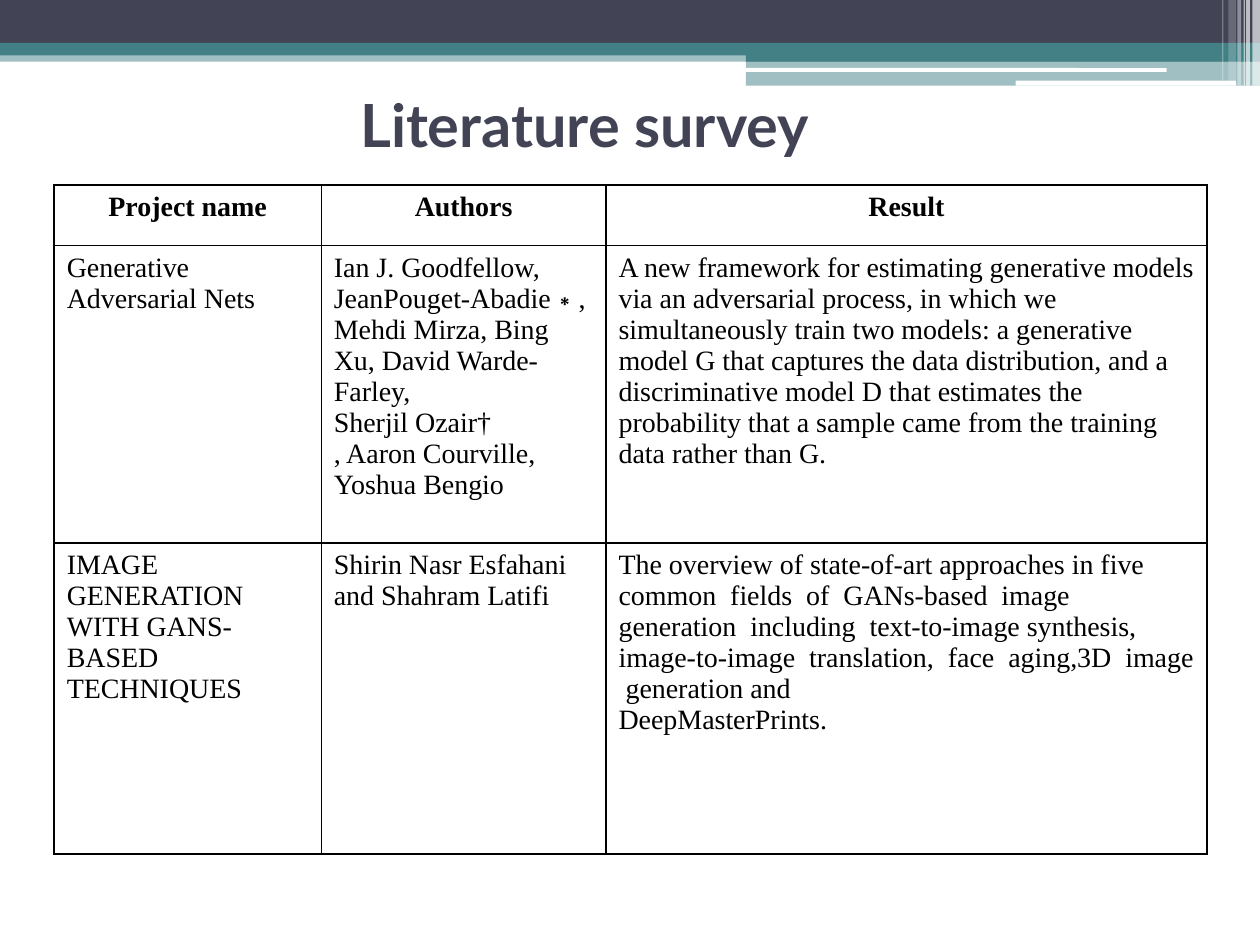
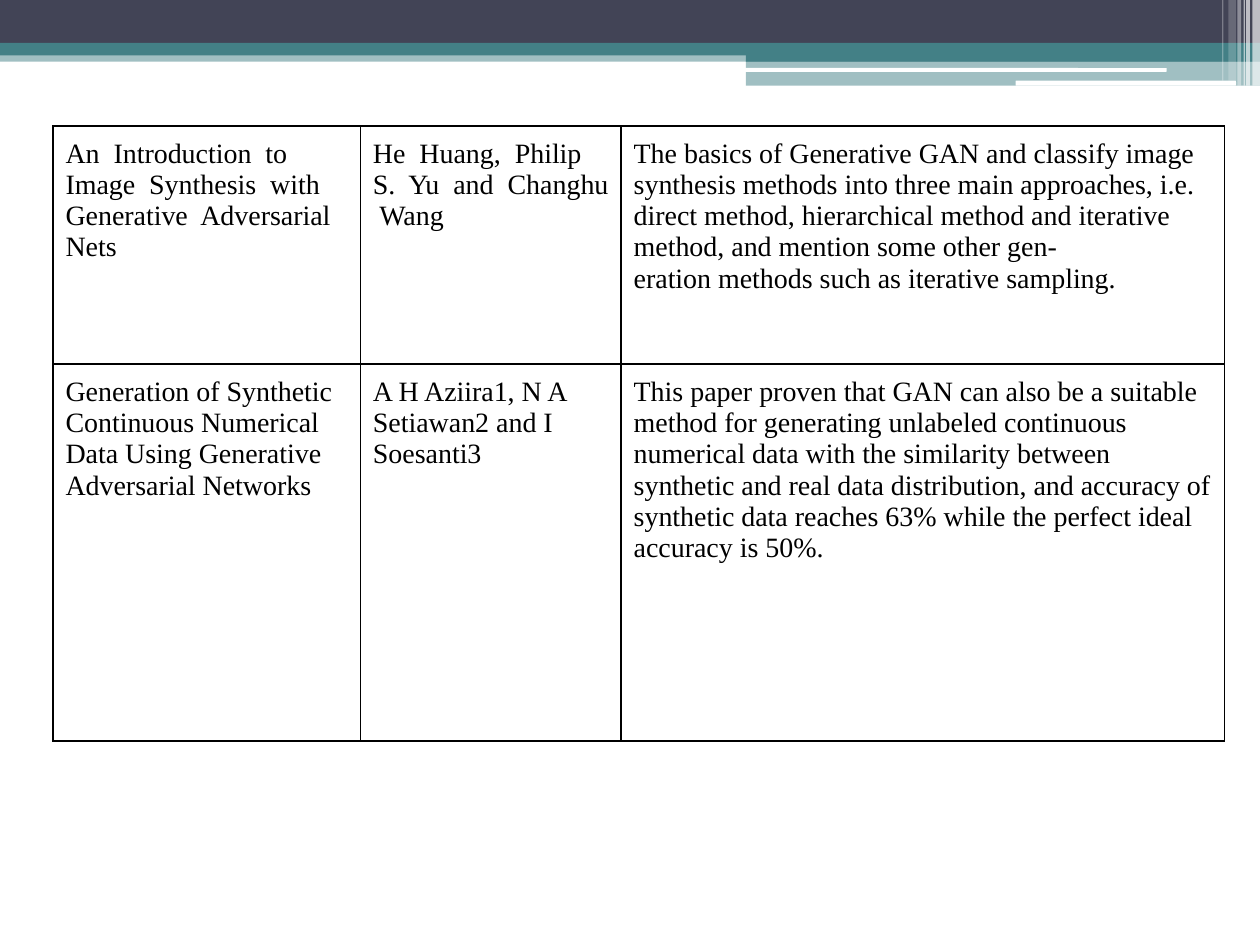
from lxml.etree import SubElement
from pptx import Presentation
from pptx.dml.color import RGBColor
from pptx.enum.shapes import MSO_SHAPE
from pptx.enum.text import MSO_ANCHOR, PP_ALIGN
from pptx.oxml.ns import qn
from pptx.util import Inches, Pt

COLUMNS, ROWS = 100, 75
NAVY, TEAL, WHITE, BLACK = "424456", "438086", "FFFFFF", "000000"

# left, top, width, height, colour, opacity in percent
BANDS = [
    (0, 4, 100, 0.9, TEAL, 50),
    (0, 0, 100, 3.4, NAVY, 100),
    (0, 3.4, 100, 1, TEAL, 100),
    (59.2, 3.9, 40.8, 1, TEAL, 100),
    (59.2, 4.8, 40.8, 2, TEAL, 50),
]
RULES = [(59.1, 5.4, 33.5, 0.3), (80.6, 6.4, 17.5, 0.4)]
# left, width, height, opacity in percent
STRIPES = [
    (99.4, 0.6, 6.8, 65),
    (98.9, 0.3, 6.8, 65),
    (98.7, 0.1, 6.8, 60),
    (98.2, 0.3, 6.8, 40),
    (97.5, 0.6, 6.4, 20),
    (97, 0.1, 6.4, 30),
]

# Each cell is a list of paragraphs
SURVEY_HEAD = [["Project name"], ["Authors"], ["Result"]]
SURVEY = [
    [["Generative Adversarial Nets"],
     ["Ian J. Goodfellow,",
      "JeanPouget-Abadie∗, Mehdi Mirza, Bing Xu, David Warde-Farley,",
      "Sherjil Ozair†",
      ", Aaron Courville, Yoshua Bengio"],
     ["A new framework for estimating generative models via an adversarial "
      "process, in which we simultaneously train two models: a generative "
      "model G that captures the data distribution, and a discriminative "
      "model D that estimates the probability that a sample came from the "
      "training data rather than G."]],
    [["IMAGE GENERATION WITH GANS-BASED", "TECHNIQUES"],
     ["Shirin Nasr Esfahani and Shahram Latifi"],
     ["The overview of state-of-art approaches in five common  fields  of  "
      "GANs-based  image  generation  including  text-to-image synthesis,  "
      "image-to-image  translation,  face  aging,3D  image  generation and",
      "DeepMasterPrints."]],
]
SURVEY_CONTINUED = [
    [["An  Introduction  to  Image  Synthesis  with",
      "Generative  Adversarial  Nets"],
     ["He  Huang,  Philip  S.  Yu  and  Changhu  Wang"],
     ["The basics of Generative GAN and classify image synthesis methods into "
      "three main approaches, i.e. direct method, hierarchical method and "
      "iterative method, and mention some other gen-",
      "eration methods such as iterative sampling."]],
    [["Generation of Synthetic Continuous Numerical",
      "Data Using Generative Adversarial Networks"],
     ["A H Aziira1, N A Setiawan2 and I Soesanti3"],
     ["This paper proven that GAN can also be a suitable method for "
      "generating unlabeled continuous",
      "numerical data with the similarity between synthetic and real data "
      "distribution, and accuracy of synthetic data reaches 63% while the "
      "perfect ideal accuracy is 50%."]],
]


def rgb(hex_colour):
    return RGBColor.from_string(hex_colour)


class Deck:
    """Holds the presentation, its style and the slide being drawn."""

    title_font, body_font = "Lato", "Times New Roman"
    title_size, body_size = 34, 16

    def __init__(self):
        self.prs = Presentation()
        self.prs.slide_width, self.prs.slide_height = Inches(10), Inches(7.5)
        self.s = None

    def x(self, columns):
        return round(self.prs.slide_width * columns / COLUMNS)

    def y(self, rows):
        return round(self.prs.slide_height * rows / ROWS)

    def box(self, left, top, width, height):
        return self.x(left), self.y(top), self.x(width), self.y(height)

    def new_slide(self):
        """Start a slide with the shared header."""
        self.s = self.prs.slides.add_slide(self.prs.slide_layouts[6])
        for *place, colour, opacity in BANDS:
            self.block(place, colour, opacity)
        for place in RULES:
            self.block(place, WHITE, kind=MSO_SHAPE.ROUNDED_RECTANGLE)
        for left, width, height, opacity in STRIPES:
            self.block((left, 0, width, height), WHITE, opacity)

    def block(self, place, colour, opacity=100, kind=MSO_SHAPE.RECTANGLE):
        sp = self.s.shapes.add_shape(kind, *self.box(*place))
        sp.shadow.inherit = False
        sp.line.fill.background()
        sp.fill.solid()
        sp.fill.fore_color.rgb = rgb(colour)
        if opacity < 100:
            clr = sp.fill._xPr.find(qn("a:solidFill"))[0]
            SubElement(clr, qn("a:alpha"), val=str(opacity * 1000))

    def run(self, p, text, font, size, colour, bold):
        r = p.add_run()
        r.text = text
        r.font.name, r.font.size, r.font.bold = font, Pt(size), bold
        r.font.color.rgb = rgb(colour)

    def title(self, text, place):
        tf = self.s.shapes.add_textbox(*self.box(*place)).text_frame
        tf.word_wrap = True
        tf.vertical_anchor = MSO_ANCHOR.BOTTOM
        p = tf.paragraphs[0]
        p.line_spacing = 0.9
        p._p.get_or_add_pPr().set("marL", str(self.x(0.4)))
        self.run(p, text, self.title_font, self.title_size, NAVY, True)

    def table(self, left, top, widths, heights, cells, pad, head=False):
        place = self.box(left, top, sum(widths), sum(heights))
        t = self.s.shapes.add_table(len(heights), len(widths), *place).table
        t.first_row = t.horz_banding = False
        for column, width in zip(t.columns, widths):
            column.width = self.x(width)
        for i, (row, height) in enumerate(zip(t.rows, heights)):
            row.height = self.y(height)
            for cell, paragraphs in zip(row.cells, cells[i]):
                self.fill_cell(cell, paragraphs, pad, head and i == 0)

    def fill_cell(self, cell, paragraphs, pad, is_head):
        cell.margin_left = cell.margin_right = self.x(1)
        cell.margin_top = cell.margin_bottom = self.y(pad)
        self.borders(cell)
        cell.fill.background()
        tf = cell.text_frame
        for i, text in enumerate(paragraphs):
            p = tf.add_paragraph() if i else tf.paragraphs[0]
            p.alignment = PP_ALIGN.CENTER if is_head else PP_ALIGN.LEFT
            self.run(p, text, self.body_font, self.body_size, BLACK, is_head)

    def borders(self, cell):
        tc_pr = cell._tc.get_or_add_tcPr()
        for side in "LRTB":
            ln = SubElement(tc_pr, qn(f"a:ln{side}"), w=str(Pt(1)))
            fill = SubElement(ln, qn("a:solidFill"))
            SubElement(fill, qn("a:srgbClr"), val=BLACK)


def main():
    deck = Deck()

    deck.new_slide()
    deck.title("Literature survey", (27.2, 5.6, 48.7, 7.6))
    deck.table(4.3, 14.7, [21.2, 22.6, 47.7], [4.8, 23.6, 24.7],
               [SURVEY_HEAD] + SURVEY, pad=0.5, head=True)

    deck.new_slide()
    deck.table(4.2, 10, [24.4, 20.7, 47.9], [18.9, 29.9],
               SURVEY_CONTINUED, pad=1)

    deck.prs.save("out.pptx")


if __name__ == "__main__":
    main()
